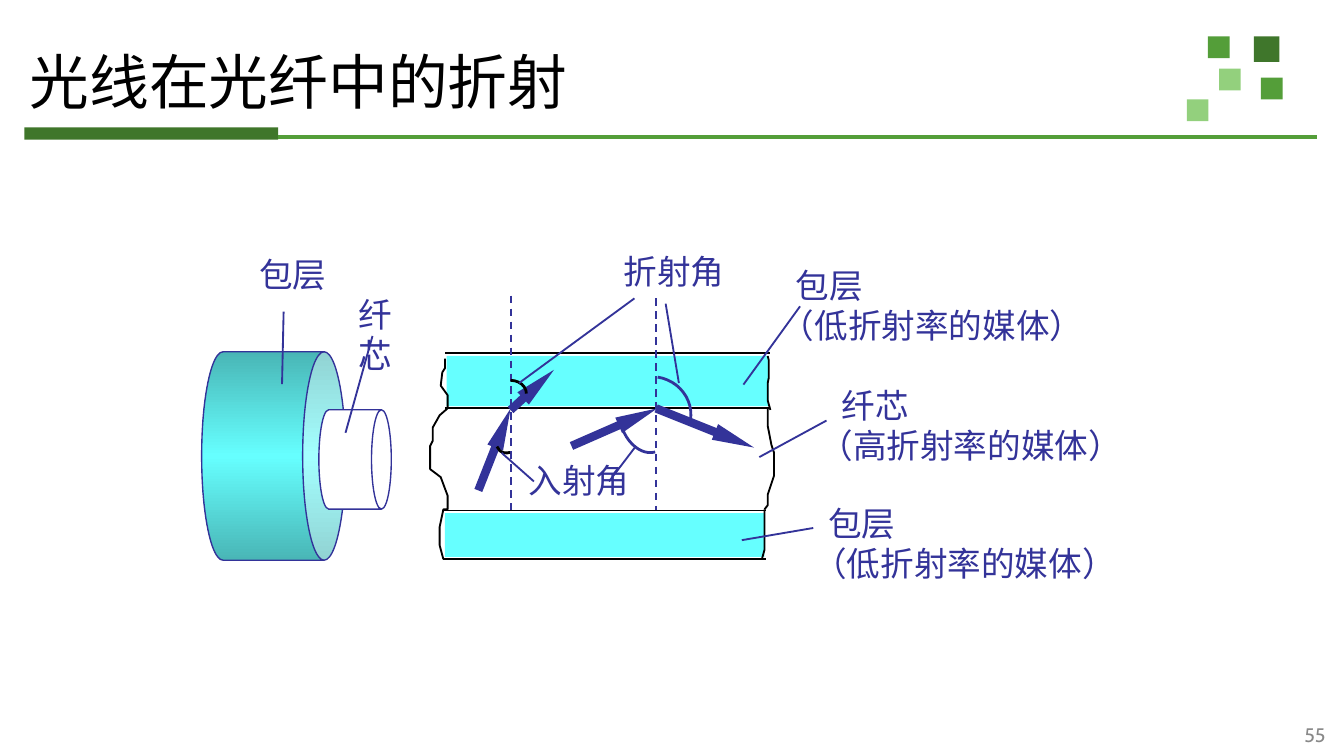
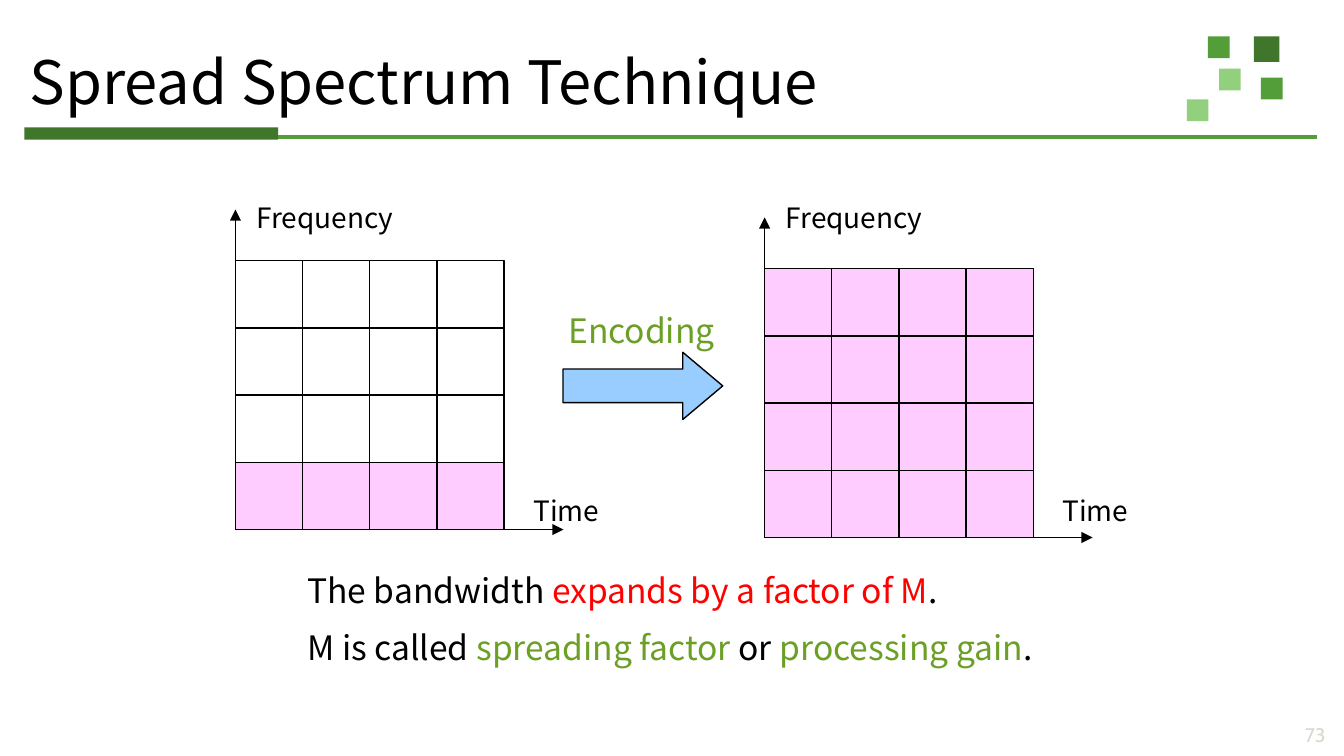
from itertools import product
from copy import deepcopy

from lxml.etree import SubElement
from pptx import Presentation
from pptx.dml.color import RGBColor
from pptx.enum.dml import MSO_LINE
from pptx.enum.shapes import MSO_CONNECTOR, MSO_SHAPE
from pptx.enum.text import MSO_ANCHOR, PP_ALIGN
from pptx.oxml.ns import qn
from pptx.util import Cm, Pt

SANS = "Noto Sans CJK SC"
BLACK, WHITE, RED, LEAF = "000000", "FFFFFF", "FF0000", "6B9F25"
DEEP, GREEN, PALE, BAR = "3F762B", "549E39", "93D07D", "3F762A"
NAVY, CYAN, TEAL = "333399", "66FFFF", "49B6B6"
PINK, SKY = "FFCCFF", "99CCFF"
SLIM = (0.18, 0.1)
WIDE = (0.25, 0.13)


def tint(code):
    return RGBColor.from_string(code)


def style(font, size, name, color):
    font.size, font.name = Pt(size), name
    font.color.rgb = tint(color)


def shape(slide, kind, box, fill=None, line=None, width=0.75, turn=0):
    item = slide.shapes.add_shape(kind, *map(Cm, box))
    item.shadow.inherit = False
    item.rotation = turn
    if fill:
        item.fill.solid()
        item.fill.fore_color.rgb = tint(fill)
    else:
        item.fill.background()
    if line:
        item.line.color.rgb = tint(line)
        item.line.width = Pt(width)
    else:
        item.line.fill.background()
    return item


def stroke(slide, x1, y1, x2, y2, color=NAVY, width=1, dash=False, head=None):
    """Draw a straight line; head gives the arrowhead's width and length."""
    item = slide.shapes.add_connector(
        MSO_CONNECTOR.STRAIGHT, Cm(x1), Cm(y1), Cm(x2), Cm(y2))
    item.line.color.rgb = tint(color)
    item.line.width = Pt(width)
    if dash:
        item.line.dash_style = MSO_LINE.DASH
    if head:
        end = SubElement(item.line._ln, qn("a:tailEnd"), type="triangle")
        end.set("w", head[0])
        end.set("len", head[1])
    SubElement(item._element.spPr, qn("a:effectLst"))


def trace(slide, x, y, points):
    """Draw an open ragged edge through points relative to x, y."""
    spots = [(Cm(x + px), Cm(y + py)) for px, py in points]
    pen = slide.shapes.build_freeform(*spots[0])
    pen.add_line_segments(spots[1:], close=False)
    edge = pen.convert_to_shape()
    edge.shadow.inherit = False
    edge.fill.background()
    edge.line.color.rgb = tint(BLACK)
    edge.line.width = Pt(1)


def arc(slide, x, y, rx, ry, turn, color):
    """Draw a quarter arc about the centre x, y."""
    box = (x - rx, y - ry, 2 * rx, 2 * ry)
    shape(slide, MSO_SHAPE.ARC, box, line=color, width=1.5, turn=turn)


def label(slide, box, lines, size=18, font="Arial", color=NAVY,
          pad=WIDE, wrap=True, gap=0, indent=0):
    """Add text; a line is a string or a list of (text, colour) runs."""
    frame = slide.shapes.add_textbox(*map(Cm, box)).text_frame
    frame.word_wrap = wrap
    frame.margin_left = frame.margin_right = Cm(pad[0])
    frame.margin_top = frame.margin_bottom = Cm(pad[1])
    for row, line in enumerate(lines):
        para = frame.paragraphs[0] if row == 0 else frame.add_paragraph()
        if row:
            para.space_before = Pt(gap)
        elif indent:
            para._p.get_or_add_pPr().set("marL", str(Cm(indent)))
        style(para.font, size, font, color)
        for words, hue in [(line, color)] if isinstance(line, str) else line:
            run = para.add_run()
            run.text = words
            if hue != color:
                run.font.color.rgb = tint(hue)
    return frame


def base(deck, title, font, number, gray):
    """Add a slide with its title, corner squares, rule and number."""
    slide = deck.slides.add_slide(deck.slide_layouts[5])
    for x, y, side, color in (
            (23.7, 0.69, 0.48, DEEP), (22.83, 0.69, 0.41, GREEN),
            (23.83, 1.47, 0.41, GREEN), (23.04, 1.3, 0.41, PALE),
            (22.43, 1.88, 0.41, PALE)):
        shape(slide, MSO_SHAPE.RECTANGLE, (x, y, side, side), color)
    shape(slide, MSO_SHAPE.RECTANGLE, (0.46, 2.41, 4.8, 0.23), BAR)
    stroke(slide, 5.26, 2.59, 24.89, 2.59, GREEN, 2)

    head = slide.shapes.title
    head.left, head.top, head.width, head.height = map(
        Cm, (0.38, 0.71, 24.46, 1.8))
    frame = head.text_frame
    frame.text = title
    frame.vertical_anchor = MSO_ANCHOR.MIDDLE
    frame.margin_left = frame.margin_right = Cm(SLIM[0])
    frame.margin_top = frame.margin_bottom = Cm(SLIM[1])
    para = frame.paragraphs[0]
    para.alignment = PP_ALIGN.LEFT
    para.line_spacing = 0.9
    style(para.font, 32, font, BLACK)

    foot = label(slide, (23.83, 13.51, 1.47, 0.76), [number], 10.5, "Cabin", gray)
    foot.vertical_anchor = MSO_ANCHOR.MIDDLE
    foot.paragraphs[0].alignment = PP_ALIGN.RIGHT
    return slide


def section(slide, x, y):
    """Draw the lengthwise cut of the fibre with its rays and angles."""
    for left, right, top, low in ((0.28, 6.43, 1.09, 2.13),
                                  (0.25, 6.35, 4.06, 4.98)):
        for edge in (top, low):
            stroke(slide, x + left, y + edge, x + right, y + edge, BLACK)
        shape(slide, MSO_SHAPE.RECTANGLE,
              (x + left + 0.03, y + top + 0.05,
               right - left - 0.06, low - top - 0.09), CYAN)

    for across, top in ((1.52, 0), (4.27, 0.05)):
        stroke(slide, x + across, y + top, x + across, y + 4.05, dash=True)
    for x1, y1, x2, y2 in (
            (1.52, 2.16, 2.34, 1.4), (0.91, 3.68, 1.52, 2.13),
            (2.67, 2.84, 4.29, 2.13), (4.27, 2.13, 6.12, 2.87)):
        stroke(slide, x + x1, y + y1, x + x2, y + y2, width=4.5,
               head=("sm", "lg"))
    for cx, cy, rx, ry, turn, color in (
            (1.45, 2.79, 0.2, 0.18, 162, BLACK),
            (1.52, 1.85, 0.3, 0.25, 0, BLACK),
            (4.06, 2.29, 0.48, 0.69, 164, NAVY),
            (4.19, 2.24, 0.74, 0.71, 9, NAVY)):
        arc(slide, x + cx, y + cy, rx, ry, turn, color)

    for edge in (
            ((0.28, 1.19), (0.28, 1.37), (0.23, 1.45), (0.2, 1.7),
             (0.33, 1.88), (0.33, 2.13), (0.18, 2.26), (0.05, 2.49),
             (0.05, 2.74), (0, 2.84), (0, 3.28), (0.2, 3.43),
             (0.33, 3.78), (0.33, 4.04), (0.25, 4.04), (0.18, 4.37),
             (0.18, 4.72), (0.25, 4.98)),
            ((6.38, 1.14), (6.4, 1.22), (6.4, 1.55), (6.38, 1.65),
             (6.38, 1.98), (6.43, 2.16)),
            ((6.38, 2.13), (6.38, 2.46), (6.45, 2.82), (6.5, 2.97),
             (6.5, 3.4), (6.38, 3.76), (6.38, 3.96), (6.32, 4.04)),
            ((6.32, 4.04), (6.32, 4.8), (6.27, 4.98))):
        trace(slide, x, y, edge)

    for x1, y1, x2, y2 in (
            (4.45, 0.15, 4.7, 1.65), (1.68, 1.65, 3.86, 0.05),
            (1.35, 2.97, 1.96, 3.51), (3.38, 3.51, 3.89, 2.84),
            (6.22, 3.05, 7.49, 2.36), (6.99, 0.2, 5.92, 1.68),
            (7.24, 4.39, 5.89, 4.62)):
        stroke(slide, x + x1, y + y1, x + x2, y + y2)
    for words, lx, ly in (("折射角", 3.48, -0.94), ("入射角", 1.68, 3)):
        label(slide, (x + lx, y + ly, 2.3, 0.97), [words],
              pad=SLIM, wrap=False)
    for name, note, lx, ly, width, indent in (
            ("包层", "（低折射率的媒体）", 6.38, -0.71, 6.27, 0.28),
            ("纤芯", "（高折射率的媒体）", 7.11, 1.55, 6.63, 0.42),
            ("包层", "（低折射率的媒体）", 6.99, 3.78, 6.27, 0.28)):
        label(slide, (x + lx, y + ly, width, 1.8), [name, note],
              wrap=width > 6.5, indent=indent)


def fiber(slide, x, y):
    """Draw the cladding and core as two cylinders lying on their side."""
    clad = shape(slide, MSO_SHAPE.CAN, (x - 0.61, y + 2.59, 3.94, 2.72),
                 CYAN, NAVY, turn=90)
    clad.adjustments[0] = 0.298
    clad.fill.gradient()
    clad.fill.gradient_angle = 0
    first, last = clad.fill.gradient_stops
    last._gs.addprevious(deepcopy(first._gs))
    for stop, place, color in zip(clad.fill.gradient_stops, (0, 0.5, 1),
                                  (TEAL, CYAN, TEAL)):
        stop.position = place
        stop.color.rgb = tint(color)
    core = shape(slide, MSO_SHAPE.CAN, (x + 1.96, y + 3.33, 1.88, 1.37),
                 WHITE, NAVY, turn=90)
    core.adjustments[0] = 0.273
    label(slide, (x + 0.84, y, 1.8, 1.02), ["包层"], wrap=False)
    label(slide, (x + 2.72, y + 0.76, 1.45, 1.8), ["纤芯"])
    stroke(slide, x + 1.55, y + 1.22, x + 1.52, y + 2.59)
    stroke(slide, x + 3.23, y + 1.68, x + 2.72, y + 3.51)


def plot(slide, x, y, full, lift):
    """Draw a time-frequency grid whose lowest full rows are filled."""
    cell, count, high = 1.27, 4, 6.05
    foot = y + high
    stroke(slide, x, foot, x, y, BLACK, 0.75, head=("med", "med"))
    stroke(slide, x, foot, x + 6.2, foot, BLACK, 0.75, head=("med", "med"))
    for row, col in product(range(count), repeat=2):
        box = (x + col * cell, foot - (row + 1) * cell, cell, cell)
        shape(slide, MSO_SHAPE.RECTANGLE, box,
              PINK if row < full else None, BLACK)
    for words, lx, ly, width in (("Time", 5.38, 5.53, 2.2),
                                 ("Frequency", 0.15, 0, 3.6)):
        label(slide, (x + lx, y + ly - lift, width, 0.89), [words],
              15, SANS, BLACK)


def encode(slide, x, y):
    arrow = shape(slide, MSO_SHAPE.RIGHT_ARROW,
                  (x + 0.15, y + 0.94, 3.02, 1.27), SKY, BLACK)
    arrow.adjustments[1] = 0.594
    label(slide, (x, y, 3.43, 1.02), ["Encoding"], 18, SANS, LEAF)


def main():
    deck = Presentation()
    deck.slide_width, deck.slide_height = Cm(25.4), Cm(14.29)

    light = base(deck, "光线在光纤中的折射", "Times New Roman", "55", "898989")
    section(light, 8.13, 5.59)
    fiber(light, 3.81, 4.67)

    spread = base(deck, "Spread Spectrum Technique", SANS, "73", "DAD8C9")
    plot(spread, 4.45, 3.96, 1, 0.3)
    plot(spread, 14.45, 4.11, 4, 0.45)
    encode(spread, 10.49, 5.72)
    label(spread, (5.56, 10.64, 16.03, 2.18), [
        [("The bandwidth ", BLACK), ("expands by a factor of M", RED),
         (".", BLACK)],
        [("M is called ", BLACK), ("spreading factor", LEAF), (" or ", BLACK),
         ("processing gain", LEAF), (".", BLACK)],
    ], 18, SANS, BLACK, gap=9)
    deck.save("out.pptx")


if __name__ == "__main__":
    main()
